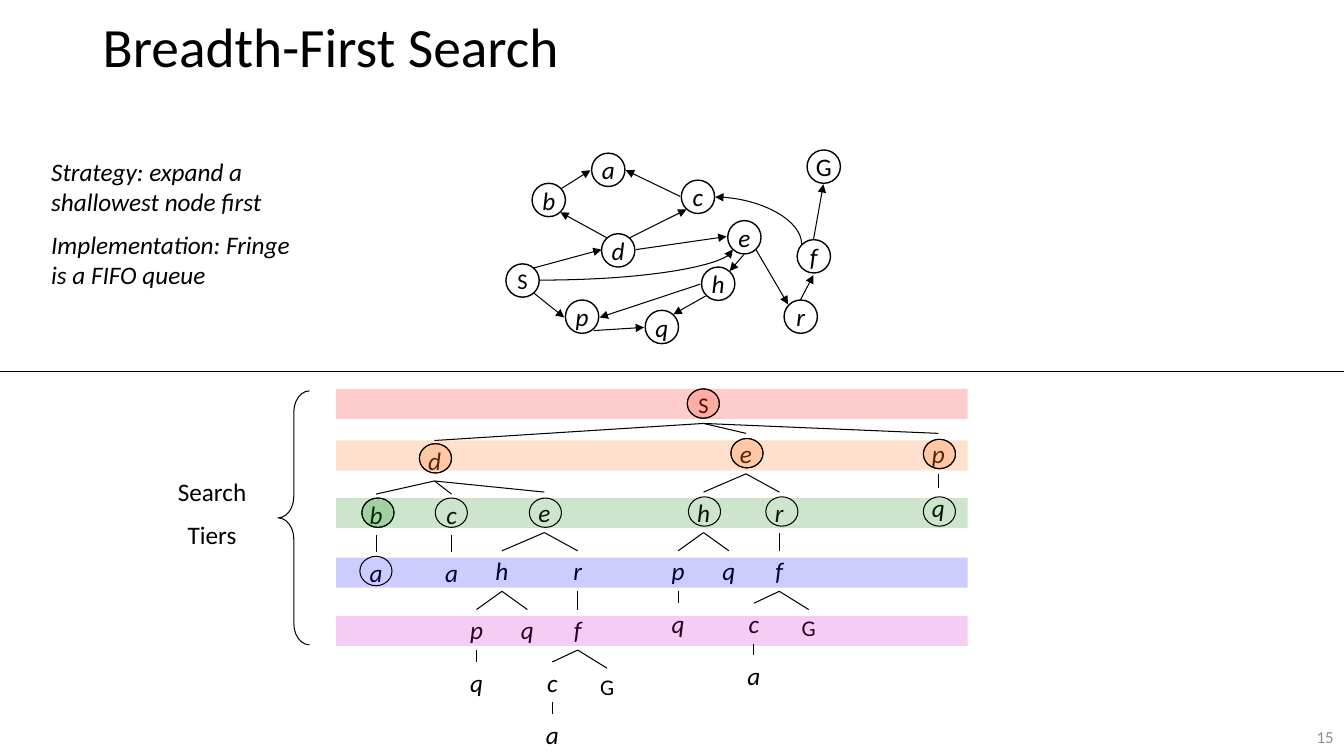
from dataclasses import dataclass

from lxml import etree
from pptx import Presentation
from pptx.dml.color import RGBColor
from pptx.enum.shapes import MSO_CONNECTOR, MSO_SHAPE
from pptx.enum.text import MSO_ANCHOR, PP_ALIGN
from pptx.oxml.ns import qn
from pptx.util import Cm, Pt

STRAIGHT, CURVE = MSO_CONNECTOR.STRAIGHT, MSO_CONNECTOR.CURVE
CIRCLE, OVAL = MSO_SHAPE.FLOWCHART_CONNECTOR, MSO_SHAPE.OVAL
RECTANGLE, BRACE = MSO_SHAPE.RECTANGLE, MSO_SHAPE.LEFT_BRACE
TOP, MIDDLE = MSO_ANCHOR.TOP, MSO_ANCHOR.MIDDLE
LEFT, CENTER, RIGHT = PP_ALIGN.LEFT, PP_ALIGN.CENTER, PP_ALIGN.RIGHT
TOP_SITE, BOTTOM_SITE = 0, 2


@dataclass(frozen=True)
class Theme:
    """Fonts, colours and sizes of the slide."""
    font: str = "Calibri"
    ink: str = "000000"
    muted: str = "8C8C8C"
    tiers: tuple = ("FF0000", "FF6600", "008000", "0000FF", "CC00CC")
    root: str = "FF3300"
    opacity: int = 20
    title: float = 39.6
    body: float = 18
    goal: float = 16
    number: float = 12
    thin: float = 0.75
    outline: float = 1
    gap: float = 9


THEME = Theme()

GRAPH_NODES = {
    "S": (0, 2.87), "G": (7.59, 0), "d": (2.41, 2.11), "b": (0.66, 0.84),
    "p": (1.5, 3.78), "q": (3.51, 4.04), "c": (4.42, 0.76), "e": (5.59, 1.78),
    "h": (4.93, 2.95), "a": (2.16, 0.08), "f": (7.34, 2.26), "r": (7.01, 3.78),
}
GRAPH_ARROWS = [
    (0.71, 3.61, 1.47, 4.22), (2.21, 4.55, 3.48, 4.47), (5.03, 3.68, 4.22, 4.14),
    (4.9, 3.38, 2.36, 4.22), (5.99, 2.64, 5.64, 3.05), (6.3, 2.51, 7.11, 3.89),
    (7.42, 3.78, 7.75, 3.15), (7.75, 2.26, 8, 0.86), (0.71, 2.97, 2.41, 2.51),
    (2.54, 2.21, 1.37, 1.57), (1.4, 0.97, 2.13, 0.51), (4.39, 1.17, 3.02, 0.51),
    (3.12, 2.21, 4.55, 1.5), (3.28, 2.51, 5.56, 2.18),
]
GRAPH_CURVES = [((6.96, 0.69, 5.77, 2.87), 90), ((0.86, 3.28, 5.72, 2.51), 0)]

E_BRANCHES = [
    ("h", -1.07, 1.48, [("p", -0.64, 1.48, [("q", 0, 1.32, [])]),
                        ("q", 0.64, 1.48, [])]),
    ("r", 0.84, 1.48, [("f", 0, 1.48, [("c", -0.64, 1.32, [("a", 0, 1.31, [])]),
                                       ("G", 0.74, 1.48, [])])]),
]
SEARCH_TREE = ("S", 0, 0, [
    ("d", -6.78, 1.37, [("b", -1.47, 1.35, [("a", 0, 1.47, [])]),
                        ("c", 0.43, 1.35, [("a", 0, 1.47, [])]),
                        ("e", 2.77, 1.3, E_BRANCHES)]),
    ("e", 1.07, 1.19, E_BRANCHES),
    ("p", 5.92, 1.19, [("q", 0, 1.37, [])]),
])
LABEL_SIZES = {"S": (2.74, 0.94), "G": (2.11, 0.94)}
TIER_TOPS = [0, 1.3, 2.75, 4.25, 5.72]
FRINGE_MARKS = [
    (8.85, 0), (2.1, 1.38), (9.95, 1.25), (14.8, 1.27), (0.65, 2.75), (2.5, 2.75),
    (4.87, 2.75), (8.88, 2.72), (10.83, 2.72), (14.8, 2.72), (0.6, 4.22),
]
EXPANDED_COLORS = [THEME.root] + [THEME.tiers[1]] * 3 + [THEME.tiers[2]]


def write(shape, lines, size, italic=False, align=LEFT, anchor=TOP, color=THEME.ink):
    """Fill a shape with one paragraph per line."""
    frame = shape.text_frame
    frame.word_wrap = True
    frame.vertical_anchor = anchor
    for index, line in enumerate(lines):
        paragraph = frame.add_paragraph() if index else frame.paragraphs[0]
        paragraph.alignment = align
        if index:
            paragraph.space_before = Pt(THEME.gap)
        run = paragraph.add_run()
        run.text = line
        run.font.name = THEME.font
        run.font.size = Pt(size)
        run.font.italic = italic
        run.font.color.rgb = RGBColor.from_string(color)
    return frame


def add_text(slide, box, lines, size, **style):
    """Add a text box at a box given in centimetres."""
    shape = slide.shapes.add_textbox(*map(Cm, box))
    write(shape, lines, size, **style)
    return shape


def add_figure(slide, kind, box, fill=None, width=None):
    """Add a preset shape with an optional translucent fill and outline."""
    shape = slide.shapes.add_shape(kind, *map(Cm, box))
    shape.shadow.inherit = False
    if fill:
        shape.fill.solid()
        shape.fill.fore_color.rgb = RGBColor.from_string(fill)
        tint = shape._element.spPr.find(qn("a:solidFill"))[0]
        etree.SubElement(tint, qn("a:alpha")).set("val", str(THEME.opacity * 1000))
    else:
        shape.fill.background()
    if width:
        shape.line.color.rgb = RGBColor.from_string(THEME.ink)
        shape.line.width = Pt(width)
    else:
        shape.line.fill.background()
    return shape


def add_line(slide, ends, kind=STRAIGHT, arrow=False):
    """Add a thin connector between two points in centimetres."""
    line = slide.shapes.add_connector(kind, *map(Cm, ends))
    line.line.color.rgb = RGBColor.from_string(THEME.ink)
    line.line.width = Pt(THEME.thin)
    properties = line._element.spPr
    if arrow:
        tail = etree.SubElement(properties.find(qn("a:ln")), qn("a:tailEnd"))
        tail.set("type", "triangle")
    etree.SubElement(properties, qn("a:effectLst"))
    return line


def add_graph(slide, left, top, diameter=0.84):
    """Draw the state graph from its top left corner."""
    for label, (x, y) in GRAPH_NODES.items():
        node = add_figure(slide, CIRCLE, (left + x, top + y, diameter, diameter),
                          width=THEME.outline)
        size = THEME.goal if label == "S" else THEME.body
        frame = write(node, [label], size, label.islower(), CENTER, MIDDLE)
        frame.word_wrap = False
        frame.margin_left = frame.margin_right = 0
        frame.margin_top = frame.margin_bottom = 0
    corner = (left, top, left, top)
    for ends in GRAPH_ARROWS:
        add_line(slide, map(sum, zip(corner, ends)), arrow=True)
    for ends, angle in GRAPH_CURVES:
        curve = add_line(slide, map(sum, zip(corner, ends)), CURVE, arrow=True)
        properties = curve._element.spPr
        properties.find(qn("a:prstGeom")).set("prst", "curvedConnector2")
        properties.find(qn("a:xfrm")).set("rot", str(angle * 60000))


def add_tree(slide, node, center, top, parent=None):
    """Draw a search node, the line from its parent, and its children."""
    label, shift, drop, children = node
    center, top = center + shift, top + drop
    width, height = LABEL_SIZES.get(label, (1.07, 1.02))
    size = THEME.body if label.islower() else THEME.goal
    shape = add_text(slide, (center - width / 2, top, width, height), [label], size,
                     italic=label.islower(), align=CENTER)
    if parent:
        branch = add_line(slide, (0, 0, 0, 0))
        branch.begin_connect(parent, BOTTOM_SITE)
        branch.end_connect(shape, TOP_SITE)
    for child in children:
        add_tree(slide, child, center, top, shape)


def add_tiers(slide, left, top):
    """Draw the tier bands, their brace and caption, and the node marks."""
    for color, offset in zip(THEME.tiers, TIER_TOPS):
        add_figure(slide, RECTANGLE, (left, top + offset, 15.92, 0.76), fill=color)
    brace = add_figure(slide, BRACE, (left - 1.46, top + 0.05, 0.79, 6.4),
                       width=THEME.thin)
    brace.adjustments[0], brace.adjustments[1] = 0.68, 0.5
    add_text(slide, (left - 4.46, top + 2.09, 2.67, 2.18), ["Search", "Tiers"],
             THEME.body, align=CENTER)
    marks = [(mark, None) for mark in FRINGE_MARKS]
    for (x, y), fill in marks + list(zip(FRINGE_MARKS, EXPANDED_COLORS)):
        add_figure(slide, OVAL, (left + x, top + y, 0.81, 0.74), fill, THEME.thin)


def add_wording(slide):
    """Place the title, the strategy notes and the slide number."""
    title = add_text(slide, (2.34, 0.33, 29.21, 1.85), ["Breadth-First Search"],
                     THEME.title, anchor=MIDDLE)
    title.text_frame.paragraphs[0].line_spacing = 0.9
    add_text(slide, (1.04, 3.81, 6.58, 3.71),
             ["Strategy: expand a shallowest node first",
              "Implementation: Fringe is a FIFO queue"], THEME.body, italic=True)
    add_text(slide, (32.36, 18.08, 1.5, 0.97), ["15"], THEME.number, align=RIGHT,
             anchor=MIDDLE, color=THEME.muted)


def main():
    """Build and save the slide."""
    presentation = Presentation()
    presentation.slide_width, presentation.slide_height = Cm(33.87), Cm(19.05)
    slide = presentation.slides.add_slide(presentation.slide_layouts[6])
    add_wording(slide)
    add_tree(slide, SEARCH_TREE, 17.73, 9.73)
    add_graph(slide, 12.75, 3.78)
    add_tiers(slide, 8.47, 9.8)
    add_line(slide, (0, 9.37, 33.87, 9.37))
    presentation.save("out.pptx")


if __name__ == "__main__":
    main()
